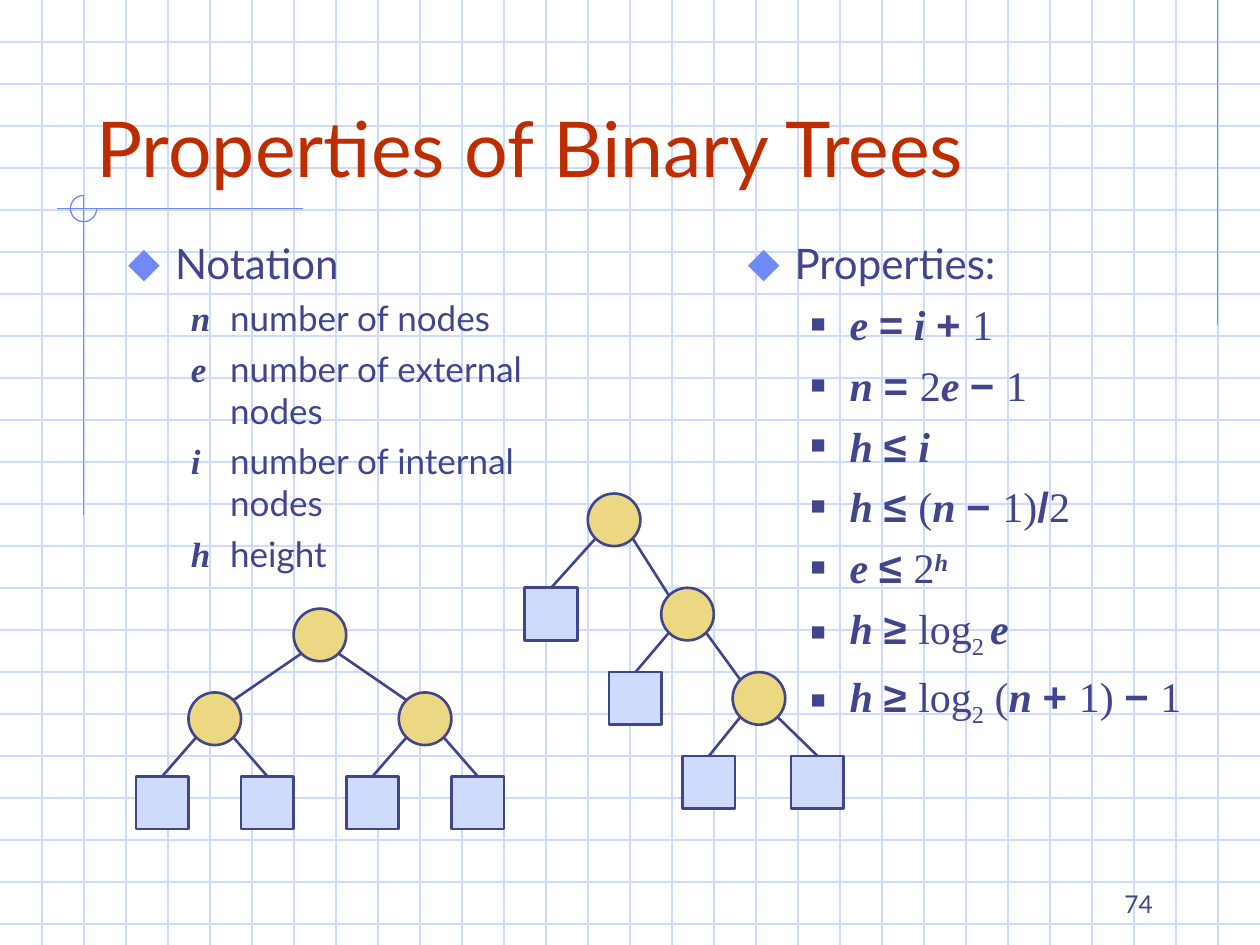
from dataclasses import dataclass
from math import copysign, sqrt

from lxml.etree import SubElement
from pptx import Presentation
from pptx.dml.color import RGBColor
from pptx.enum.shapes import MSO_CONNECTOR, MSO_SHAPE
from pptx.enum.text import MSO_ANCHOR as Anchor, MSO_AUTO_SIZE as AutoSize, PP_ALIGN as Align
from pptx.oxml.ns import qn
from pptx.util import Cm, Pt

WIDTH, HEIGHT, CELL = 25.4, 19.05, 25.4 / 30
NODE = 1.06


@dataclass(frozen=True)
class Theme:
    """Colours, fonts and type sizes of the slide."""
    ink: str = "40458C"
    title: str = "BE2D00"
    grid: str = "CFDBFD"
    accent: str = "6F89F7"
    inner: str = "ECD882"
    leaf: str = "CFDBFD"
    sans: str = "Lato"
    serif: str = "Times New Roman"
    symbol: str = "Arial"
    title_size: int = 44
    body_size: int = 24
    note_size: int = 20
    number_size: int = 14


@dataclass(frozen=True)
class Node:
    """A tree node by its centre; a node without children is external."""
    x: float
    y: float
    children: tuple = ()


THEME = Theme()
STYLES = {
    "text": (THEME.sans, False, False, 0),
    "var": (THEME.serif, True, True, 0),
    "op": (THEME.symbol, True, False, 0),
    "num": (THEME.serif, False, False, 0),
    "sup": (THEME.serif, True, True, 30000),
    "sub": (THEME.serif, False, False, -25000),
}
NOTATION = [
    ("n", "number of nodes"),
    ("e", "number of external nodes"),
    ("i", "number of internal nodes"),
    ("h", "height"),
]
PROPERTIES = [
    [("var", "e "), ("op", "="), ("var", " i "), ("op", "+ "), ("num", "1")],
    [("var", "n "), ("op", "= "), ("num", "2"), ("var", "e "), ("op", "− "), ("num", "1")],
    [("var", "h "), ("op", "≤ "), ("var", "i")],
    [("var", "h "), ("op", "≤ "), ("num", "("), ("var", "n "), ("op", "− "),
     ("num", "1)"), ("op", "/"), ("num", "2")],
    [("var", "e "), ("op", "≤ "), ("num", "2"), ("sup", "h")],
    [("var", "h "), ("op", "≥ "), ("num", "log"), ("sub", "2 "), ("var", "e")],
    [("var", "h "), ("op", "≥ "), ("num", "log"), ("sub", "2"), ("num", " ("),
     ("var", "n "), ("op", "+ "), ("num", "1) "), ("op", "− "), ("num", "1")],
]
SKEWED_TREE = Node(12.38, 10.48, (
    Node(11.11, 12.38),
    Node(13.86, 12.38, (
        Node(12.81, 14.08),
        Node(15.3, 14.08, (Node(14.29, 15.77), Node(16.48, 15.77))),
    )),
))


def rgb(colour):
    """Return a colour object for a hex string."""
    return RGBColor.from_string(colour)


def add_line(shapes, start, end, colour, width=0.75):
    """Draw a straight line between two points."""
    points = [Cm(value) for value in (*start, *end)]
    line = shapes.add_connector(MSO_CONNECTOR.STRAIGHT, *points)
    line.line.color.rgb = rgb(colour)
    line.line.width = Pt(width)
    SubElement(line._element.spPr, qn("a:effectLst"))


def add_grid(slide):
    """Draw the squared-paper background."""
    shapes = slide.shapes.add_group_shape().shapes
    for row in range(1, 23):
        add_line(shapes, (0, row * CELL), (WIDTH, row * CELL), THEME.grid)
    for column in range(1, 30):
        add_line(shapes, (column * CELL, 0), (column * CELL, HEIGHT), THEME.grid)


def add_ornament(slide):
    """Draw the accent rules and the open circle where they cross."""
    shapes = slide.shapes.add_group_shape().shapes
    add_line(shapes, (24.55, 0), (24.55, 6.55), THEME.accent)
    add_line(shapes, (1.14, 4.21), (6.1, 4.21), THEME.accent)
    add_line(shapes, (1.69, 3.94), (1.69, 10.39), THEME.accent)
    arc = shapes.add_shape(MSO_SHAPE.ARC, Cm(1.42), Cm(3.94), Cm(0.53), Cm(0.53))
    arc.adjustments[0], arc.adjustments[1] = 0, 162
    arc.shadow.inherit = False
    arc.fill.background()
    arc.line.color.rgb = rgb(THEME.accent)
    arc.line.width = Pt(0.75)


def add_run(paragraph, text, size, style="text", colour=THEME.ink):
    """Append one styled run."""
    run = paragraph.add_run()
    run.text = text
    font = run.font
    font.name, font.bold, font.italic, baseline = STYLES[style]
    font.size = Pt(size)
    font.color.rgb = rgb(colour)
    if baseline:
        run._r.get_or_add_rPr().set("baseline", str(baseline))


def set_indent(paragraph, left, hanging):
    """Give a paragraph a hanging indent."""
    properties = paragraph._p.get_or_add_pPr()
    properties.set("marL", str(Cm(left)))
    properties.set("indent", str(-Cm(hanging)))


def set_bullet(paragraph, character, colour, percent):
    """Give a paragraph a coloured bullet."""
    properties = paragraph._p.get_or_add_pPr()
    SubElement(SubElement(properties, qn("a:buClr")), qn("a:srgbClr"), val=colour)
    SubElement(properties, qn("a:buSzPct"), val=str(percent * 1000))
    SubElement(properties, qn("a:buFont"), typeface=THEME.symbol)
    SubElement(properties, qn("a:buChar"), char=character)


def add_text_box(slide, left, top, width, height):
    """Add an empty wrapping text box and return its frame."""
    box = slide.shapes.add_textbox(Cm(left), Cm(top), Cm(width), Cm(height))
    box.text_frame.word_wrap = True
    return box.text_frame


def add_heading(frame, text):
    """Fill the first paragraph with a diamond-bulleted heading."""
    paragraph = frame.paragraphs[0]
    set_indent(paragraph, 0.95, 0.95)
    set_bullet(paragraph, "⬥", THEME.accent, 110)
    add_run(paragraph, text, THEME.body_size)


def add_item(frame, space):
    """Append a second-level paragraph."""
    paragraph = frame.add_paragraph()
    paragraph.level = 1
    paragraph.space_before = Pt(space)
    set_indent(paragraph, 2.06, 0.79)
    return paragraph


def add_notation(slide):
    """Write the list of symbols and their meanings."""
    frame = add_text_box(slide, 2.33, 4.66, 8.47, 7.2)
    add_heading(frame, "Notation")
    for symbol, meaning in NOTATION:
        paragraph = add_item(frame, 5)
        add_run(paragraph, symbol + "\t", THEME.note_size, "var")
        add_run(paragraph, meaning, THEME.note_size)


def add_properties(slide):
    """Write the list of formulas."""
    frame = add_text_box(slide, 14.82, 4.66, 9.53, 10.16)
    add_heading(frame, "Properties:")
    for formula in PROPERTIES:
        paragraph = add_item(frame, 6)
        set_bullet(paragraph, "■", THEME.ink, 60)
        for style, text in formula:
            add_run(paragraph, text, THEME.body_size, style)


def balanced_tree(x, y, spread, depth):
    """Build a full tree whose spread halves at every level."""
    if not depth:
        return Node(x, y)
    return Node(x, y, tuple(
        balanced_tree(x + side * spread, y + 1.69, spread / 2, depth - 1) for side in (-1, 1)))


def add_tree(shapes, node):
    """Draw a node, its edges and its subtrees."""
    kind, colour = (MSO_SHAPE.OVAL, THEME.inner) if node.children else (MSO_SHAPE.RECTANGLE, THEME.leaf)
    shape = shapes.add_shape(kind, Cm(node.x - NODE / 2), Cm(node.y - NODE / 2), Cm(NODE), Cm(NODE))
    shape.shadow.inherit = False
    shape.fill.solid()
    shape.fill.fore_color.rgb = rgb(colour)
    shape.line.color.rgb = rgb(THEME.ink)
    shape.line.width = Pt(1.5)
    diagonal = NODE / 2 / sqrt(2)
    for child in node.children:
        shift = copysign(diagonal, child.x - node.x)
        end = (child.x - shift, child.y - diagonal) if child.children else (child.x, child.y - NODE / 2)
        add_line(shapes, (node.x + shift, node.y + diagonal), end, THEME.ink, 1.5)
        add_tree(shapes, child)


def add_title(slide, text):
    """Place the title above the background and write it."""
    title = slide.shapes.title
    slide.shapes._spTree.append(title._element)
    title.left, title.top, title.width, title.height = Cm(1.69), Cm(0.85), Cm(21.59), Cm(3.17)
    frame = title.text_frame
    frame.auto_size = AutoSize.NONE
    frame.vertical_anchor = Anchor.BOTTOM
    frame.paragraphs[0].alignment = Align.LEFT
    add_run(frame.paragraphs[0], text, THEME.title_size, colour=THEME.title)


def add_page_number(slide, number):
    """Write the page number at the lower right."""
    frame = add_text_box(slide, 18.2, 17.36, 5.29, 1.27)
    frame.vertical_anchor = Anchor.BOTTOM
    frame.paragraphs[0].alignment = Align.RIGHT
    add_run(frame.paragraphs[0], number, THEME.number_size)


def main():
    """Build and save the slide."""
    presentation = Presentation()
    presentation.slide_width, presentation.slide_height = Cm(WIDTH), Cm(HEIGHT)
    slide = presentation.slides.add_slide(presentation.slide_layouts[5])
    add_grid(slide)
    add_ornament(slide)
    add_title(slide, "Properties of Binary Trees")
    add_notation(slide)
    add_properties(slide)
    for tree in (balanced_tree(6.45, 12.8, 2.12, 2), SKEWED_TREE):
        add_tree(slide.shapes.add_group_shape().shapes, tree)
    add_page_number(slide, "74")
    presentation.save("out.pptx")


if __name__ == "__main__":
    main()
